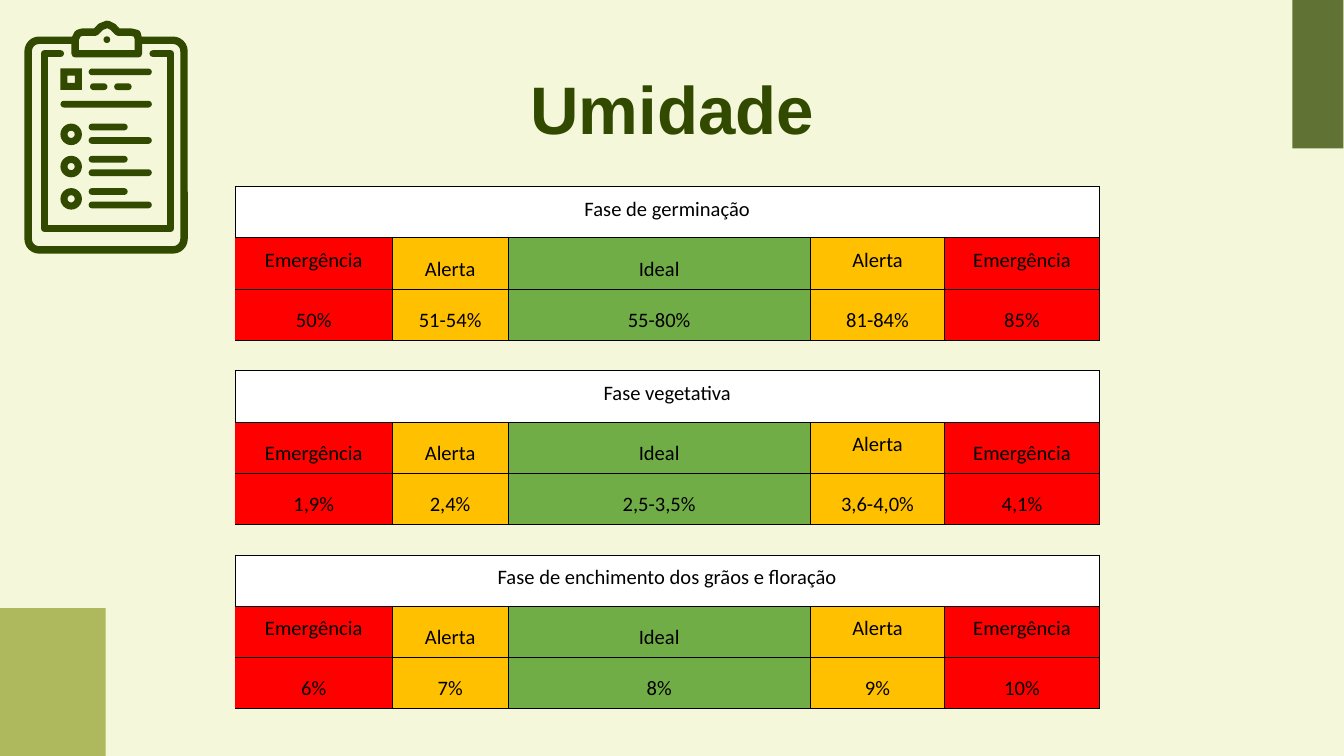
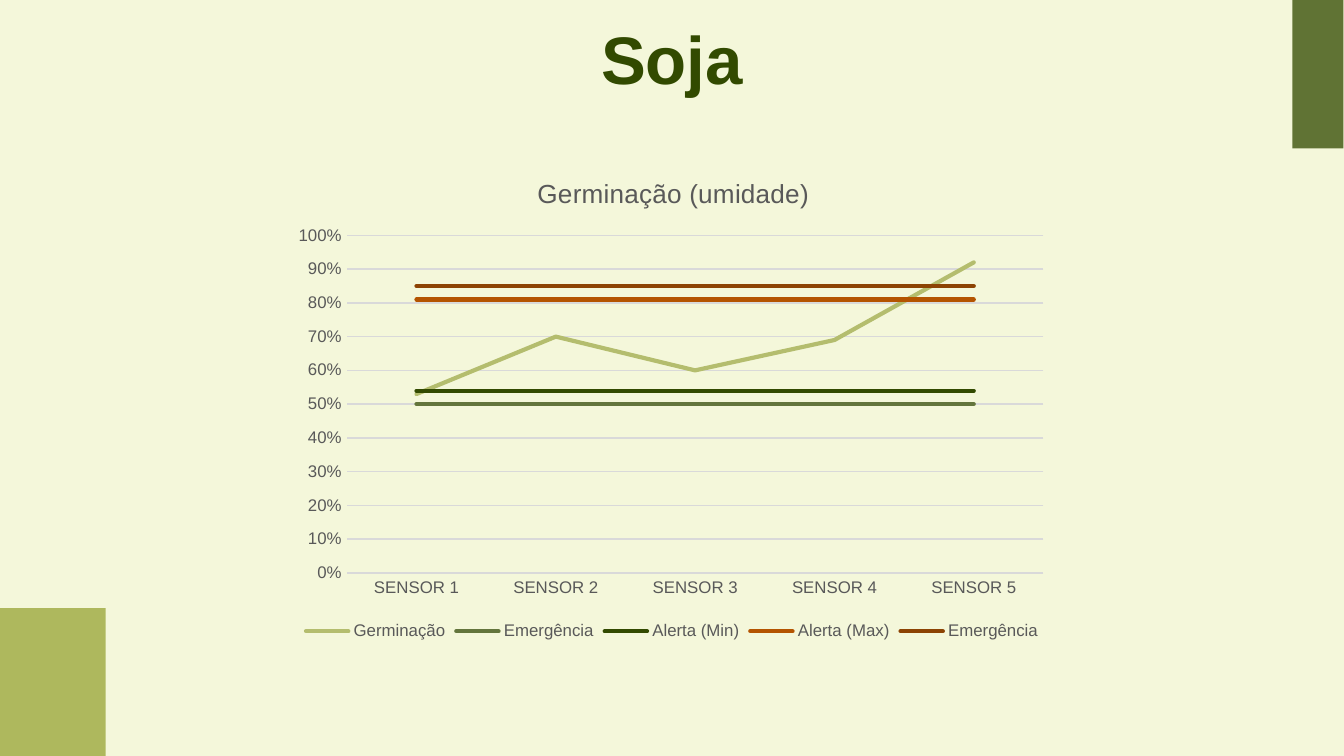
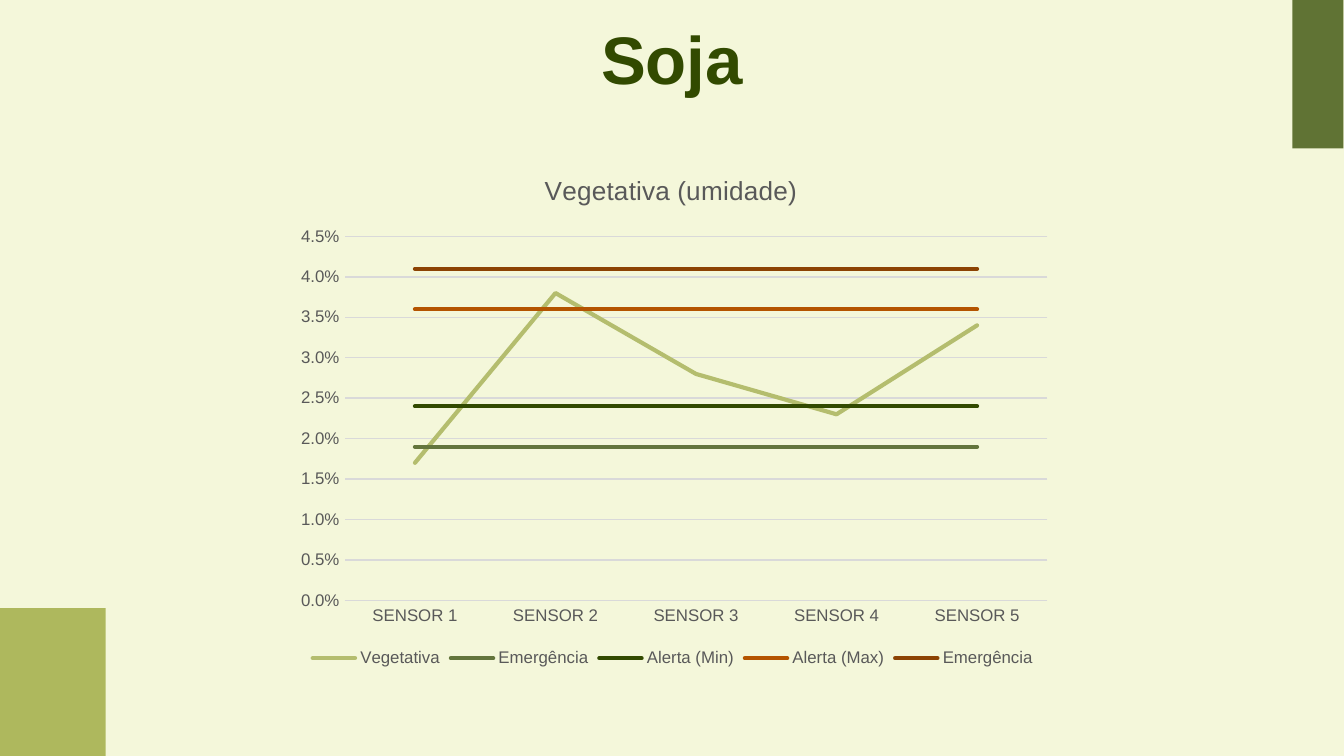
from lxml.etree import SubElement
from pptx import Presentation
from pptx.chart.data import CategoryChartData
from pptx.dml.color import RGBColor
from pptx.enum.chart import XL_CHART_TYPE as ChartType, XL_LEGEND_POSITION as LegendPosition
from pptx.enum.chart import XL_TICK_MARK as TickMark
from pptx.enum.shapes import MSO_SHAPE as Preset
from pptx.enum.text import MSO_ANCHOR as Anchor, MSO_AUTO_SIZE as AutoSize, PP_ALIGN as Align
from pptx.oxml.ns import qn
from pptx.util import Inches, Pt

HEX = {
    "cream": "F4F7DA", "forest": "324A00", "olive": "7C8C03",
    "white": "FFFFFF", "black": "000000", "grey": "595959", "grid": "D9D9D9",
    "emergency": "FF0000", "alert": "FFC000", "ideal": "70AD47",
    "reading": "B4BD6E", "low_emergency": "63753C", "low_alert": "324A00",
    "high_alert": "B45400", "high_emergency": "8C4303",
}
COLOR = {name: RGBColor.from_string(value) for name, value in HEX.items()}
TITLE_FONT = {"name": "Arial", "size": Pt(36), "bold": True}
CELL_FONT = {"name": "Calibri", "size": Pt(11), "bold": False}
CHART_FONT = {"name": "Arial", "size": Pt(9), "bold": False}
CHART_TITLE_FONT = {"name": "Arial", "size": Pt(14), "bold": False}
TITLE_FRAME = {
    "margin_left": Inches(0.1), "margin_top": Inches(0.1),
    "margin_right": Inches(0.1), "margin_bottom": Inches(0.1),
    "vertical_anchor": Anchor.TOP, "word_wrap": True, "auto_size": AutoSize.NONE,
}
CELL_MARGINS = {
    "margin_left": Inches(0.01), "margin_top": Inches(0.01),
    "margin_right": Inches(0.01), "margin_bottom": Inches(0.05),
}

prs = Presentation()
prs.slide_width = Inches(10)
prs.slide_height = Inches(10) * 9 // 16
layout = prs.slide_layouts[5]


def add_filled(shapes, preset, box, color):
    shape = shapes.add_shape(preset, *map(Inches, box))
    shape.shadow.inherit = False
    shape.fill.solid()
    shape.fill.fore_color.rgb = COLOR[color]
    shape.line.fill.background()
    return shape


def add_titled_slide(text, top):
    slide = prs.slides.add_slide(layout)
    title = slide.shapes.title
    title.left, title.top, title.width, title.height = map(Inches, (0.79, top, 8.42, 0.63))
    title.text = text
    for key, value in TITLE_FRAME.items():
        setattr(title.text_frame, key, value)
    heading = title.text_frame.paragraphs[0]
    heading.alignment = Align.CENTER
    font = heading.runs[0].font
    for key, value in TITLE_FONT.items():
        setattr(font, key, value)
    font.color.rgb = COLOR["forest"]
    return slide


humidity = add_titled_slide("Umidade", 0.4)

backdrop = [
    ((0, 0, 10, 5.63), "cream", 0, 100),
    ((9.25, 0.36, 1.11, 0.38), "forest", 90, 76),
    ((-0.16, 4.68, 1.1, 0.79), "olive", 90, 58),
]
for index, (box, color, rotation, opacity) in enumerate(backdrop):
    band = add_filled(humidity.shapes, Preset.RECTANGLE, box, color)
    band.rotation = rotation
    tint = band.element.find(".//" + qn("a:srgbClr"))
    SubElement(tint, qn("a:alpha"), val=str(opacity * 1000))
    layout.shapes.element.insert(2 + index, band.element)

levels = ["Emergência", "Alerta", "Ideal", "Alerta", "Emergência"]
level_colors = ["emergency", "alert", "ideal", "alert", "emergency"]
column_widths = [1.17, 0.86, 2.25, 1, 1.15]
phases = [
    ("Fase de germinação", "mbbmm", ["50%", "51-54%", "55-80%", "81-84%", "85%"]),
    ("Fase vegetativa", "bbbmb", ["1,9%", "2,4%", "2,5-3,5%", "3,6-4,0%", "4,1%"]),
    ("Fase de enchimento dos grãos e floração", "mbbmm", ["6%", "7%", "8%", "9%", "10%"]),
]
anchors = {"m": Anchor.MIDDLE, "b": Anchor.BOTTOM}
for index, (phase, level_anchors, ranges) in enumerate(phases):
    box = (1.75, 1.39 + 1.37 * index, 6.44, 1.14)
    limits = humidity.shapes.add_table(3, 5, *map(Inches, box)).table
    limits.first_row = limits.horz_banding = False
    for column, width in zip(limits.columns, column_widths):
        column.width = Inches(width)
    limits.cell(0, 0).merge(limits.cell(0, 4))
    rows = [
        ([phase, "", "", "", ""], "mmmmm", ["white"] * 5),
        (levels, level_anchors, level_colors),
        (ranges, "bbbbb", level_colors),
    ]
    for r, (texts, row_anchors, fills) in enumerate(rows):
        for c, (text, anchor, fill) in enumerate(zip(texts, row_anchors, fills)):
            cell = limits.cell(r, c)
            cell.vertical_anchor = anchors[anchor]
            for key, value in CELL_MARGINS.items():
                setattr(cell, key, value)
            for side in "LRTB":
                border = SubElement(cell._tc.get_or_add_tcPr(), qn("a:ln" + side), w=str(Pt(0.5)))
                if side == "L" and r and c == 0:
                    SubElement(border, qn("a:noFill"))
                else:
                    SubElement(SubElement(border, qn("a:solidFill")), qn("a:srgbClr"), val=HEX["black"])
            cell.fill.solid()
            cell.fill.fore_color.rgb = COLOR[fill]
            if text:
                cell.text = text
                label = cell.text_frame.paragraphs[0]
                label.alignment = Align.CENTER
                font = label.runs[0].font
                for key, value in CELL_FONT.items():
                    setattr(font, key, value)
                font.color.rgb = COLOR["black"]

clipboard = humidity.shapes.add_group_shape().shapes
board = add_filled(clipboard, Preset.ROUNDED_RECTANGLE, (0.21, 0.3, 1.16, 1.56), "cream")
board.adjustments[0] = 0.07
sheet_edge = [(0.45, 0.4), (0.33, 0.4), (0.33, 1.7), (1.27, 1.7), (1.27, 0.4), (1.14, 0.4)]
clip_edge = [
    (0.56, 0.4), (0.56, 0.29), (0.58, 0.25), (0.61, 0.24), (0.71, 0.24), (0.75, 0.2), (0.8, 0.18),
    (0.84, 0.2), (0.88, 0.24), (0.98, 0.24), (1.02, 0.25), (1.03, 0.29), (1.03, 0.4),
]
outlines = [board]
for points, closed in ((sheet_edge, False), (clip_edge, True)):
    start, *rest = [(Inches(x), Inches(y)) for x, y in points]
    builder = clipboard.build_freeform(*start)
    builder.add_line_segments(rest, close=closed)
    outlines.append(builder.convert_to_shape())
for outline, filled in zip(outlines, (False, False, True)):
    outline.shadow.inherit = False
    outline.fill.background()
    if filled:
        outline.fill.solid()
        outline.fill.fore_color.rgb = COLOR["cream"]
    outline.line.color.rgb = COLOR["forest"]
    outline.line.width = Pt(4)
    outline.element.find(".//" + qn("a:ln")).set("cap", "rnd")

add_filled(clipboard, Preset.OVAL, (0.77, 0.27, 0.05, 0.05), "forest")
checkbox = add_filled(clipboard, Preset.FRAME, (0.45, 0.51, 0.16, 0.16), "forest")
checkbox.adjustments[0] = 0.33
written_lines = [(0.66, 0.51, 0.47), (0.67, 0.62, 0.13), (0.85, 0.62, 0.13), (0.45, 0.75, 0.68)]
for item in range(3):
    top = 0.92 + 0.24 * item
    bullet = add_filled(clipboard, Preset.DONUT, (0.45, top, 0.16, 0.16), "forest")
    bullet.adjustments[0] = 0.33
    written_lines += [(0.66, top, 0.29), (0.66, top + 0.1, 0.47)]
for left, top, width in written_lines:
    stroke = add_filled(clipboard, Preset.ROUNDED_RECTANGLE, (left, top, width, 0.05), "forest")
    stroke.adjustments[0] = 0.5

sensors = [f"SENSOR {number}" for number in range(1, 6)]
threshold_names = ["Emergência", "Alerta (Min)", "Alerta (Max)", "Emergência"]
line_colors = ["reading", "low_emergency", "low_alert", "high_alert", "high_emergency"]
crop_charts = [
    {"phase": "Germinação", "box": (2.12, 1.17, 5.76, 3.64), "format": "0%",
     "readings": [0.53, 0.7, 0.6, 0.69, 0.92], "thresholds": [0.5, 0.54, 0.81, 0.85],
     "top_value": 1, "step": 0.1,
     "plot": {"x": 0.08, "y": 0.16, "w": 0.9, "h": 0.69}, "heading": {"x": 0.32, "y": 0.03}},
    {"phase": "Vegetativa", "box": (2.1, 1.14, 5.81, 3.87), "format": "0.0%",
     "readings": [0.017, 0.038, 0.028, 0.023, 0.034], "thresholds": [0.019, 0.024, 0.036, 0.041],
     "top_value": 0.045, "step": 0.005,
     "plot": {"x": 0.08, "y": 0.16, "w": 0.9, "h": 0.7}, "heading": {"x": 0.33, "y": 0.03}},
]
for crop in crop_charts:
    soy = add_titled_slide("Soja", 0.03)
    data = CategoryChartData(number_format=crop["format"])
    data.categories = sensors
    data.add_series(crop["phase"], crop["readings"])
    for name, threshold in zip(threshold_names, crop["thresholds"]):
        data.add_series(name, [threshold] * len(sensors))
    chart = soy.shapes.add_chart(ChartType.LINE, *map(Inches, crop["box"]), data).chart

    chart.has_title = True
    chart.chart_title.text_frame.text = f"{crop['phase']} (umidade)"
    heading_font = chart.chart_title.text_frame.paragraphs[0].runs[0].font
    chart.has_legend = True
    chart.legend.position = LegendPosition.BOTTOM
    chart.legend.include_in_layout = False
    sensor_axis, humidity_axis = chart.category_axis, chart.value_axis
    chart_fonts = [
        (heading_font, CHART_TITLE_FONT), (chart.legend.font, CHART_FONT),
        (sensor_axis.tick_labels.font, CHART_FONT), (humidity_axis.tick_labels.font, CHART_FONT),
    ]
    for font, values in chart_fonts:
        for key, value in values.items():
            setattr(font, key, value)
        font.color.rgb = COLOR["grey"]

    for axis in (sensor_axis, humidity_axis):
        axis.major_tick_mark = axis.minor_tick_mark = TickMark.NONE
    humidity_scale = {"minimum_scale": 0, "maximum_scale": crop["top_value"],
                      "major_unit": crop["step"], "has_major_gridlines": True}
    for key, value in humidity_scale.items():
        setattr(humidity_axis, key, value)
    humidity_axis.tick_labels.number_format = crop["format"]
    humidity_axis.tick_labels.number_format_is_linked = False
    humidity_axis.format.line.fill.background()
    for rule in (sensor_axis.format.line, humidity_axis.major_gridlines.format.line):
        rule.color.rgb = COLOR["grid"]
        rule.width = Pt(0.75)

    chart.plots[0].vary_by_categories = False
    for series, color in zip(chart.plots[0].series, line_colors):
        series.smooth = False
        series.format.line.color.rgb = COLOR[color]
        series.format.line.width = Pt(2.25)
    for stroke in chart.element.iterfind(".//" + qn("c:ser") + "/" + qn("c:spPr") + "/" + qn("a:ln")):
        stroke.set("cap", "rnd")

    for tag, position, place in (("c:plotArea", 0, crop["plot"]), ("c:title", 1, crop["heading"])):
        part = chart.element.find(".//" + qn(tag))
        for automatic in part.findall(qn("c:layout")):
            part.remove(automatic)
        placement = SubElement(part, qn("c:layout"))
        part.insert(position, placement)
        manual = SubElement(placement, qn("c:manualLayout"))
        if tag == "c:plotArea":
            SubElement(manual, qn("c:layoutTarget"), val="inner")
        for axis in "xy":
            SubElement(manual, qn(f"c:{axis}Mode"), val="edge")
        for key, value in place.items():
            SubElement(manual, qn(f"c:{key}"), val=str(value))

prs.save("out.pptx")
